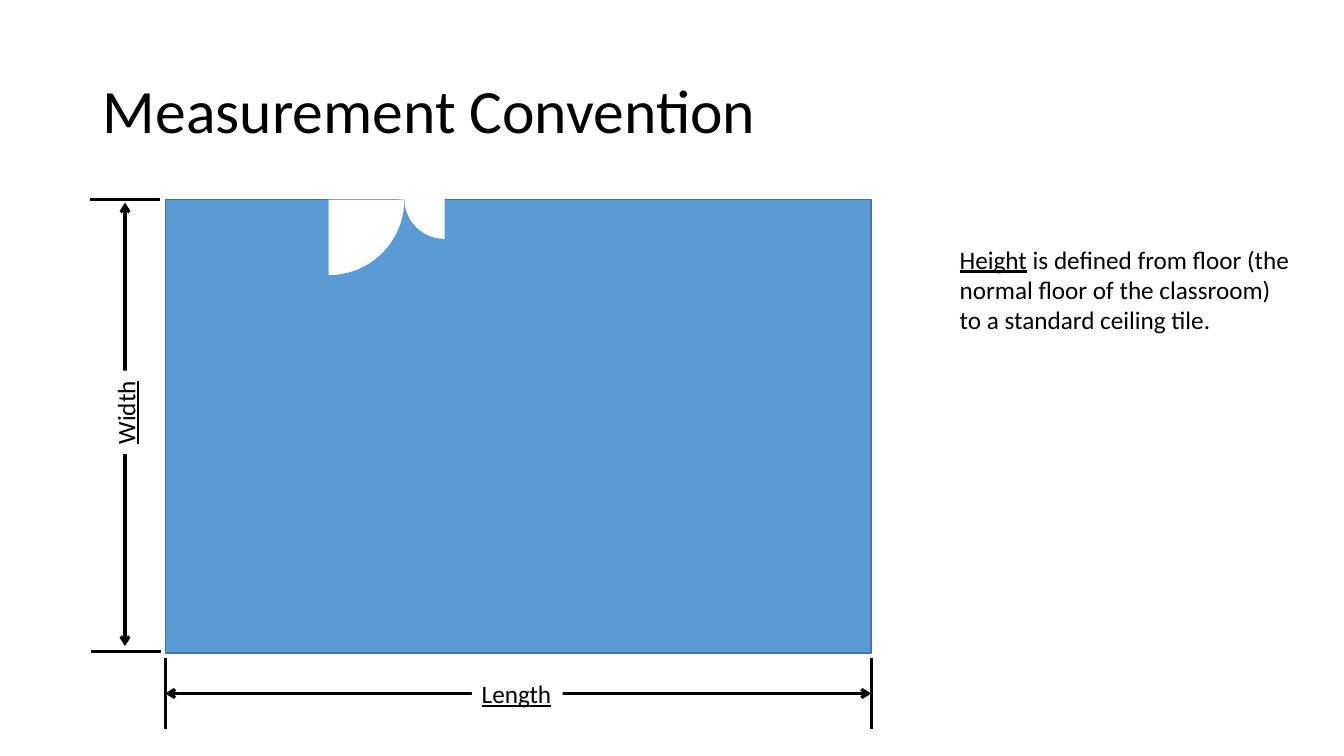
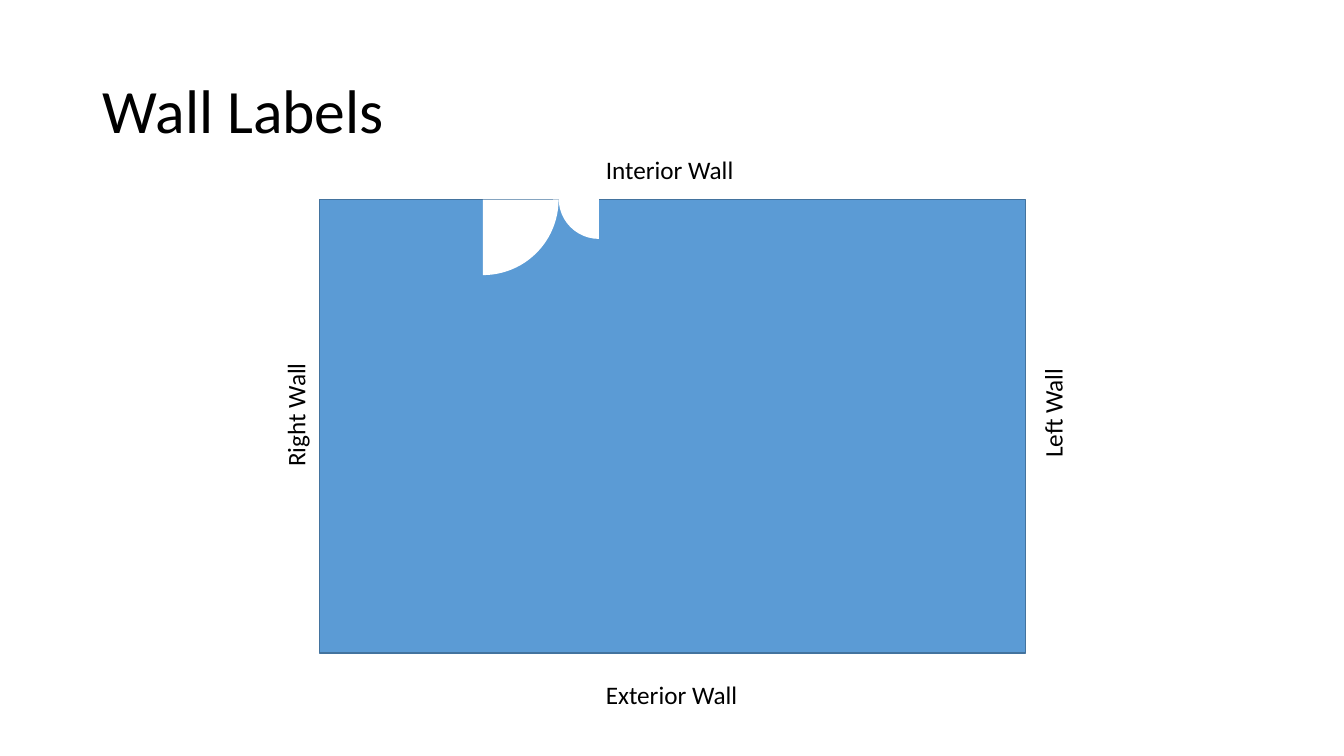
import dataclasses

import lxml.etree
import pptx
import pptx.dml.color
import pptx.enum.shapes
import pptx.enum.text
import pptx.oxml.ns
import pptx.util

SHAPE = pptx.enum.shapes.MSO_SHAPE
ANCHOR = pptx.enum.text.MSO_ANCHOR
ALIGN = pptx.enum.text.PP_ALIGN
FIT = pptx.enum.text.MSO_AUTO_SIZE


@dataclasses.dataclass(frozen=True)
class Theme:
    font: str = "Calibri"
    ink: str = "000000"
    paper: str = "FFFFFF"
    room: str = "5B9BD5"
    edge: str = "43739E"
    title: int = 44
    body: int = 18
    thin: float = 1
    thick: float = 2.25


THEME = Theme()
SCALE = 9144  # EMU per px, 100 px to the inch
PAGE = (1333, 750)
TITLE = (92, 40, 1150, 145)
ROOM_TOP, ROOM_WIDTH, ROOM_HEIGHT = 198, 700, 450
# door: left and top from the room's corner, size, turn
DOORS = [(87, -75, 150, 90), (237, -41, 80, 180)]

# line: start x, start y, end x, end y, arrows
# label: box, turn, wrap, fill, runs of (text, underline)
SLIDES = [
    {
        "title": "Measurement Convention",
        "room": 164,
        "lines": [
            (164, 653, 164, 723, False),
            (864, 653, 864, 723, False),
            (164, 688, 864, 688, True),
            (89, 198, 159, 198, False),
            (90, 646, 160, 646, False),
            (124, 641, 124, 201, True),
        ],
        "labels": [
            ((468, 668, 90, 40), 0, False, THEME.paper, [("Length", True)]),
            ((83, 389, 83, 40), 270, False, THEME.paper, [("Width", True)]),
            ((942, 237, 354, 101), 0, True, None, [
                ("Height", True),
                (" is defined from floor (the normal floor of the classroom)"
                 " to a standard ceiling tile.", False),
            ]),
        ],
    },
    {
        "title": "Wall Labels",
        "room": 317,
        "lines": [],
        "labels": [
            ((591, 669, 152, 40), 0, False, None, [("Exterior Wall", False)]),
            ((591, 148, 148, 40), 0, False, None, [("Interior Wall", False)]),
            ((231, 391, 124, 40), 270, False, None, [("Right Wall", False)]),
            ((989, 389, 110, 40), 270, False, None, [("Left Wall", False)]),
        ],
    },
]


def emu(*px):
    return [pptx.util.Emu(n * SCALE) for n in px]


def paint(part, color):
    """Give a fill or a line one solid colour."""
    part.solid()
    part.fore_color.rgb = pptx.dml.color.RGBColor.from_string(color)


def add_run(para, text, size, under=False):
    run = para.add_run()
    run.text = text
    font = run.font
    font.name, font.size = THEME.font, pptx.util.Pt(size)
    font.underline = under
    paint(font.fill, THEME.ink)


def set_title(slide, text):
    frame = slide.shapes.title.text_frame
    frame.auto_size = FIT.NONE
    frame.vertical_anchor = ANCHOR.MIDDLE
    para = frame.paragraphs[0]
    para.alignment = ALIGN.LEFT
    para.line_spacing = 0.9
    add_run(para, text, THEME.title)


def add_part(group, kind, box, fill, edge=None, turn=0):
    shape = group.shapes.add_shape(kind, *emu(*box))
    shape.shadow.inherit = False
    shape.rotation = turn
    paint(shape.fill, fill)
    if edge:
        paint(shape.line.fill, edge)
        shape.line.width = pptx.util.Pt(THEME.thin)
    else:
        shape.line.fill.background()


def add_room(slide, left):
    """Draw the floor plan with its two door swings as one group."""
    group = slide.shapes.add_group_shape()
    add_part(group, SHAPE.RECTANGLE, (left, ROOM_TOP, ROOM_WIDTH, ROOM_HEIGHT),
             THEME.room, THEME.edge)
    for x, y, size, turn in DOORS:
        add_part(group, SHAPE.ARC, (left + x, ROOM_TOP + y, size, size),
                 THEME.paper, turn=turn)


def add_line(slide, x1, y1, x2, y2, arrows):
    line = slide.shapes.add_connector(
        pptx.enum.shapes.MSO_CONNECTOR.STRAIGHT, *emu(x1, y1, x2, y2))
    paint(line.line.fill, THEME.ink)
    line.line.width = pptx.util.Pt(THEME.thick)
    qn = pptx.oxml.ns.qn
    props = line._element.spPr
    if arrows:
        for end in ("a:headEnd", "a:tailEnd"):
            lxml.etree.SubElement(props.find(qn("a:ln")), qn(end), type="arrow")
    lxml.etree.SubElement(props, qn("a:effectLst"))


def add_label(slide, box, turn, wrap, fill, runs):
    label = slide.shapes.add_textbox(*emu(*box))
    label.rotation = turn
    if fill:
        paint(label.fill, fill)
    frame = label.text_frame
    frame.word_wrap = wrap
    frame.auto_size = FIT.SHAPE_TO_FIT_TEXT
    for text, under in runs:
        add_run(frame.paragraphs[0], text, THEME.body, under)


def main():
    deck = pptx.Presentation()
    deck.slide_width, deck.slide_height = emu(*PAGE)
    layout = deck.slide_layouts.get_by_name("Title Only")
    head = layout.placeholders[0]
    head.left, head.top, head.width, head.height = emu(*TITLE)
    for page in SLIDES:
        slide = deck.slides.add_slide(layout)
        set_title(slide, page["title"])
        add_room(slide, page["room"])
        for line in page["lines"]:
            add_line(slide, *line)
        for label in page["labels"]:
            add_label(slide, *label)
    deck.save("out.pptx")


if __name__ == "__main__":
    main()
